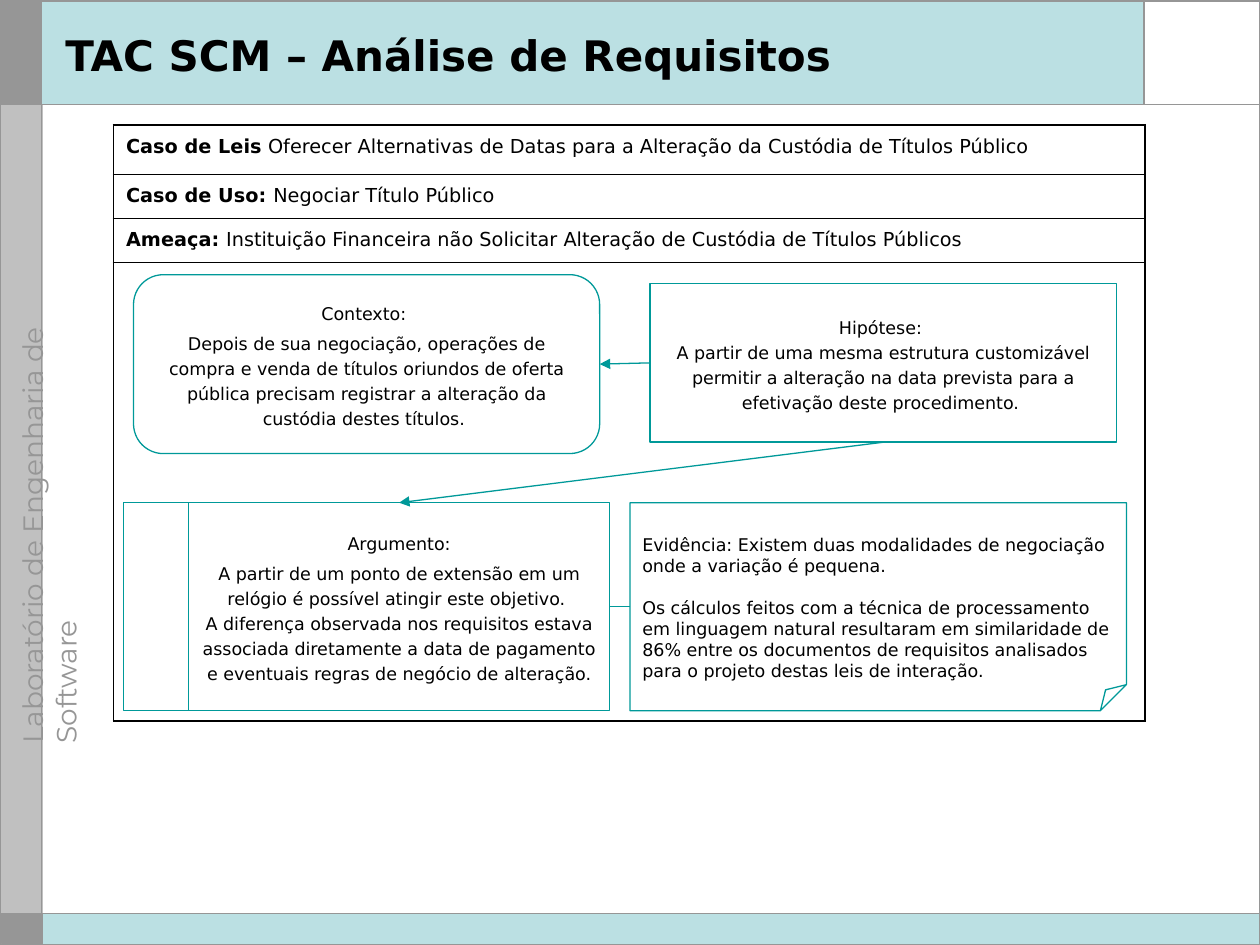
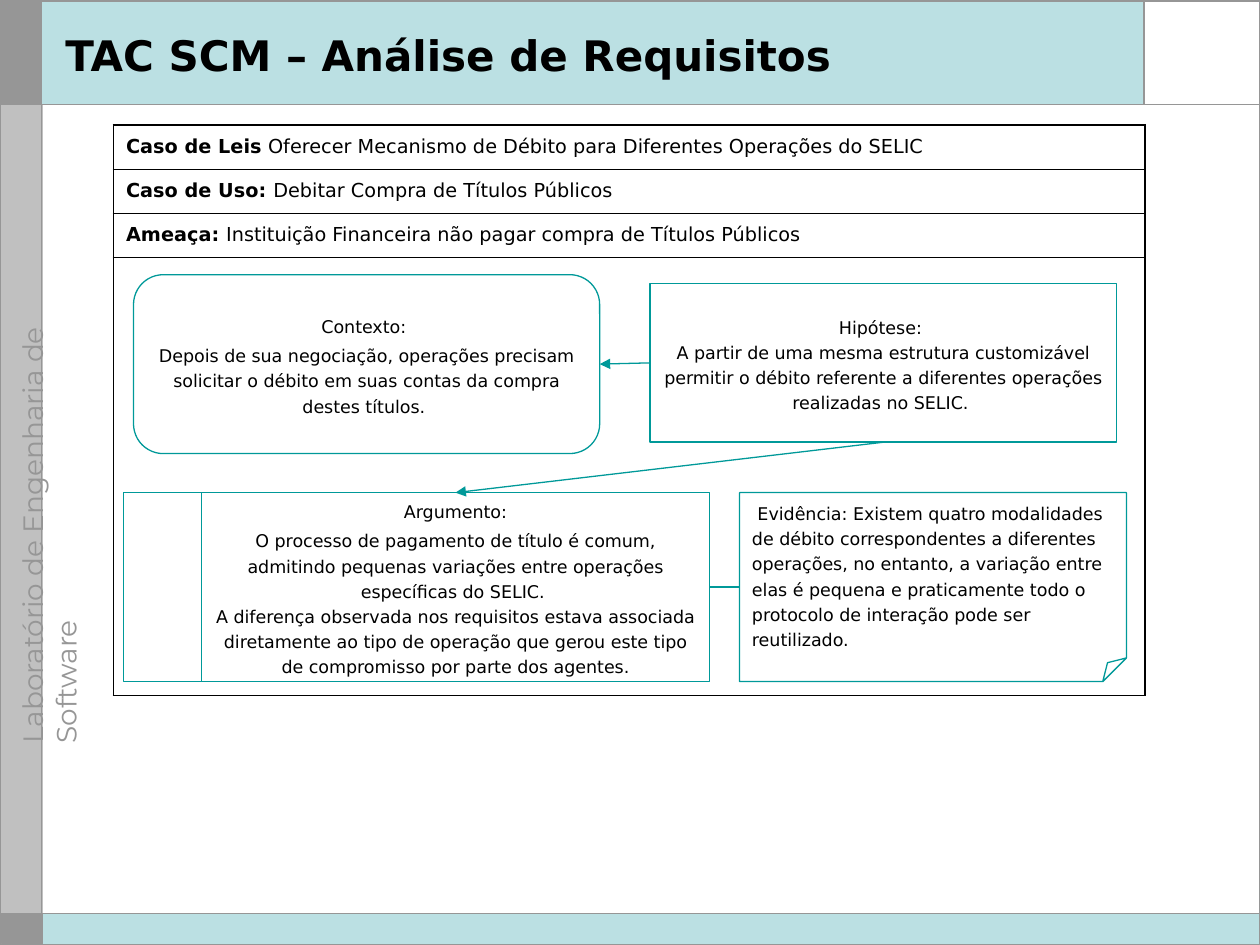
from dataclasses import dataclass

from lxml.etree import SubElement
from pptx import Presentation
from pptx.dml.color import RGBColor
from pptx.enum.shapes import MSO_CONNECTOR as Connector, MSO_SHAPE as Shape
from pptx.enum.text import MSO_ANCHOR as Anchor, PP_ALIGN as Align
from pptx.oxml import parse_xml
from pptx.oxml.ns import nsdecls, qn
from pptx.util import Inches, Pt

WIDTH, HEIGHT = Inches(10), Inches(7.5)
COLUMNS, ROWS = 100, 75
COLORS = {
    "ink": "000000",
    "paper": "FFFFFF",
    "band": "BBE0E3",
    "rule": "969696",
    "rail": "C0C0C0",
    "diagram": "009999",
}
BODY_FONT, RAIL_FONT = "DejaVu Sans", "Montserrat"
TITLE = "TAC SCM – Análise de Requisitos"
LAB = "Laboratório de Engenharia de Software"

RAIL_WIDTH, HEADER_END, FOOTER_START, CORNER_START = 3.3, 8.3, 72.5, 90.8
TABLE_LEFT, TABLE_TOP, TABLE_WIDTH = 9, 9.9, 81.9
LOWER_LEFT, LOWER_RIGHT = 9.8, 89.4
STRIP_SHARE = 2 / 15
TOP, LEFT, BOTTOM, RIGHT = range(4)


@dataclass
class LawCase:
    headings: list
    row_heights: list
    context: str
    hypothesis: str
    argument: str
    evidence: list
    lower_top: float
    lower_height: float
    argument_width: float
    evidence_gap: float
    evidence_inset: float
    evidence_leading: float


CASES = [
    LawCase(
        headings=[
            ("Caso de Leis", " Oferecer Alternativas de Datas para a Alteração da Custódia de Títulos Público"),
            ("Caso de Uso: ", "Negociar Título Público"),
            ("Ameaça: ", "Instituição Financeira não Solicitar Alteração de Custódia de Títulos Públicos"),
        ],
        row_heights=[3.9, 3.5, 3.5, 36.4],
        context="Depois de sua negociação, operações de compra e venda de títulos oriundos "
                "de oferta pública precisam registrar a alteração da custódia destes títulos. ",
        hypothesis="A partir de uma mesma estrutura customizável permitir a alteração na data "
                   "prevista para a efetivação deste procedimento. ",
        argument="A partir de um ponto de extensão em um relógio é possível atingir este objetivo. \n"
                 "A diferença observada nos requisitos estava associada diretamente a data de "
                 "pagamento e eventuais regras de negócio de alteração.",
        evidence=[
            "Evidência: Existem duas modalidades de negociação onde a variação é pequena.",
            "Os cálculos feitos com a técnica de processamento em linguagem natural resultaram em "
            "similaridade de 86% entre os documentos de requisitos analisados para o projeto "
            "destas leis de interação.",
        ],
        lower_top=39.9, lower_height=16.5, argument_width=38.6,
        evidence_gap=1.6, evidence_inset=2.5, evidence_leading=1.0,
    ),
    LawCase(
        headings=[
            ("Caso de Leis", " Oferecer Mecanismo de Débito para Diferentes Operações do SELIC"),
            ("Caso de Uso: ", "Debitar Compra de Títulos Públicos"),
            ("Ameaça: ", "Instituição Financeira não pagar compra de Títulos Públicos"),
        ],
        row_heights=[3.5, 3.5, 3.5, 34.8],
        context="Depois de sua negociação, operações precisam solicitar o débito em suas contas "
                "da compra destes títulos. ",
        hypothesis="A partir de uma mesma estrutura customizável permitir o débito referente a "
                   "diferentes operações realizadas no SELIC. ",
        argument="O processo de pagamento de título é comum, admitindo pequenas variações entre "
                 "operações específicas do SELIC. \n"
                 "A diferença observada nos requisitos estava associada diretamente ao tipo de "
                 "operação que gerou este tipo de compromisso por parte dos agentes.",
        evidence=[
            " Evidência: Existem quatro modalidades de débito correspondentes a diferentes operações, "
            "no entanto, a variação entre elas é pequena e praticamente todo o protocolo de "
            "interação pode ser reutilizado.",
        ],
        lower_top=39.1, lower_height=15, argument_width=46.5,
        evidence_gap=2.4, evidence_inset=0.5, evidence_leading=1.2,
    ),
]


def across(columns):
    return round(WIDTH * columns / COLUMNS)


def down(rows):
    return round(HEIGHT * rows / ROWS)


def place(left, top, width, height):
    return across(left), down(top), across(width), down(height)


def color(name):
    return RGBColor.from_string(COLORS[name])


def style_font(font, size, ink="ink", family=BODY_FONT, bold=False):
    font.name, font.size, font.bold = family, Pt(size), bold
    font.color.rgb = color(ink)


def add_block(slide, kind, area, fill=None, line=None, weight=0.75):
    block = slide.shapes.add_shape(kind, *place(*area))
    block.shadow.inherit = False
    if fill:
        block.fill.solid()
        block.fill.fore_color.rgb = color(fill)
    else:
        block.fill.background()
    if line:
        block.line.color.rgb = color(line)
        block.line.width = Pt(weight)
    else:
        block.line.fill.background()
    return block


def add_line(slide, start=(0, 0), end=(0, 0), ink="rule", weight=1):
    line = slide.shapes.add_connector(
        Connector.STRAIGHT, across(start[0]), down(start[1]), across(end[0]), down(end[1]))
    line.line.color.rgb = color(ink)
    line.line.width = Pt(weight)
    SubElement(line._element.spPr, qn("a:effectLst"))
    return line


def link(slide, source, source_side, target, target_side, arrow=True):
    line = add_line(slide, ink="diagram", weight=0.75)
    line.begin_connect(source, source_side)
    line.end_connect(target, target_side)
    if arrow:
        SubElement(line.line._get_or_add_ln(), qn("a:tailEnd"), type="triangle")


def add_label(slide, area, text, wrap=True, **font):
    label = slide.shapes.add_textbox(*place(*area))
    frame = label.text_frame
    frame.word_wrap = wrap
    paragraph = frame.paragraphs[0]
    paragraph.text = text
    style_font(paragraph.font, **font)
    return label


def add_node(slide, kind, area, texts=(), align=Align.CENTER, anchor=Anchor.MIDDLE,
             leading=1.2, gap=2.5):
    node = add_block(slide, kind, area, line="diagram")
    frame = node.text_frame
    frame.word_wrap = True
    frame.vertical_anchor = anchor
    for index, text in enumerate(texts):
        paragraph = frame.add_paragraph() if index else frame.paragraphs[0]
        paragraph.text = text
        paragraph.alignment = align
        paragraph.line_spacing = leading
        paragraph.space_before = Pt(gap)
        style_font(paragraph.font, 10)
    return node


def set_fold(note, share):
    guides = note._element.spPr.find(qn("a:prstGeom")).find(qn("a:avLst"))
    SubElement(guides, qn("a:gd"), name="adj", fmla=f"val {round(share * 100000)}")


def set_borders(cell, weights):
    properties = cell._tc.get_or_add_tcPr()
    for index, (side, weight) in enumerate(weights.items()):
        properties.insert(index, parse_xml(
            f'<a:ln{side} {nsdecls("a")} w="{Pt(weight)}"><a:solidFill>'
            f'<a:srgbClr val="{COLORS["ink"]}"/></a:solidFill></a:ln{side}>'))


def add_case_table(slide, case):
    heights = case.row_heights
    area = place(TABLE_LEFT, TABLE_TOP, TABLE_WIDTH, sum(heights))
    table = slide.shapes.add_table(len(heights), 1, *area).table
    table.first_row = table.horz_banding = False
    last = len(heights) - 1
    for index, height in enumerate(heights):
        table.rows[index].height = down(height)
        cell = table.cell(index, 0)
        cell.fill.background()
        set_borders(cell, {"L": 1.08, "R": 1.08,
                           "T": 0.45 if index else 1.08,
                           "B": 0.45 if index < last else 1.08})
    for index, parts in enumerate(case.headings):
        paragraph = table.cell(index, 0).text_frame.paragraphs[0]
        paragraph.line_spacing = 1.2
        paragraph.space_before = Pt(2.8)
        for part, bold in zip(parts, (True, False)):
            run = paragraph.add_run()
            run.text = part
            style_font(run.font, 11, bold=bold)


def add_frame(slide):
    body = COLUMNS - RAIL_WIDTH
    footer = ROWS - FOOTER_START
    for area, fill, line in [
        ((0.1, 0.1, RAIL_WIDTH, HEADER_END), "rule", "rule"),
        ((RAIL_WIDTH, 0, body, HEADER_END), "band", None),
        ((0.1, HEADER_END, RAIL_WIDTH, FOOTER_START - HEADER_END), "rail", "rail"),
        ((CORNER_START, 0, COLUMNS - CORNER_START, HEADER_END), "paper", None),
        ((RAIL_WIDTH, FOOTER_START, body, footer), "band", None),
        ((0.1, FOOTER_START, RAIL_WIDTH, footer - 0.1), "rule", "rule"),
    ]:
        add_block(slide, Shape.RECTANGLE, area, fill, line)
    lab = add_label(slide, (-18.4, 39.1, 40, 1.8), LAB, wrap=False,
                    size=16, ink="rule", family=RAIL_FONT)
    lab.rotation = 270
    for start, end in [
        ((CORNER_START, 0), (CORNER_START, HEADER_END)),
        ((0, HEADER_END), (COLUMNS, HEADER_END)),
        ((RAIL_WIDTH, 0), (RAIL_WIDTH, ROWS)),
        ((0, FOOTER_START), (COLUMNS, FOOTER_START)),
    ]:
        add_line(slide, start, end)
    add_block(slide, Shape.RECTANGLE, (0, 0.1, COLUMNS, ROWS - 0.1), line="rule", weight=1)
    title = add_label(slide, (4.2, 1.2, 85.8, 6.2), TITLE, size=24, bold=True)
    title.text_frame.vertical_anchor = Anchor.MIDDLE


def add_diagram(slide, case):
    top, height = case.lower_top, case.lower_height
    strip_width = case.argument_width * STRIP_SHARE
    argument_right = LOWER_LEFT + case.argument_width
    evidence_left = argument_right + case.evidence_gap

    context = add_node(slide, Shape.ROUNDED_RECTANGLE, (10.6, 21.8, 37, 14.2),
                       ["Contexto: ", case.context])
    hypothesis = add_node(slide, Shape.RECTANGLE, (51.6, 22.5, 37, 12.6),
                          ["Hipótese: \n" + case.hypothesis])
    argument = add_node(
        slide, Shape.RECTANGLE,
        (LOWER_LEFT + strip_width, top, case.argument_width - strip_width, height),
        ["Argumento:", case.argument])
    add_node(slide, Shape.RECTANGLE, (LOWER_LEFT, top, strip_width, height))
    evidence = add_node(
        slide, Shape.FOLDED_CORNER, (evidence_left, top, LOWER_RIGHT - evidence_left, height),
        case.evidence, Align.LEFT, Anchor.TOP, case.evidence_leading, gap=12)
    evidence.text_frame.paragraphs[0].space_before = Pt(2.5)
    evidence.text_frame.margin_top = down(case.evidence_inset)
    set_fold(evidence, 0.125)

    link(slide, hypothesis, LEFT, context, RIGHT)
    link(slide, evidence, LEFT, argument, RIGHT, arrow=False)
    link(slide, hypothesis, BOTTOM, argument, TOP)


def main():
    deck = Presentation()
    deck.slide_width, deck.slide_height = WIDTH, HEIGHT
    blank = deck.slide_layouts[6]
    for case in CASES:
        slide = deck.slides.add_slide(blank)
        add_frame(slide)
        add_case_table(slide, case)
        add_diagram(slide, case)
    deck.save("out.pptx")


if __name__ == "__main__":
    main()
